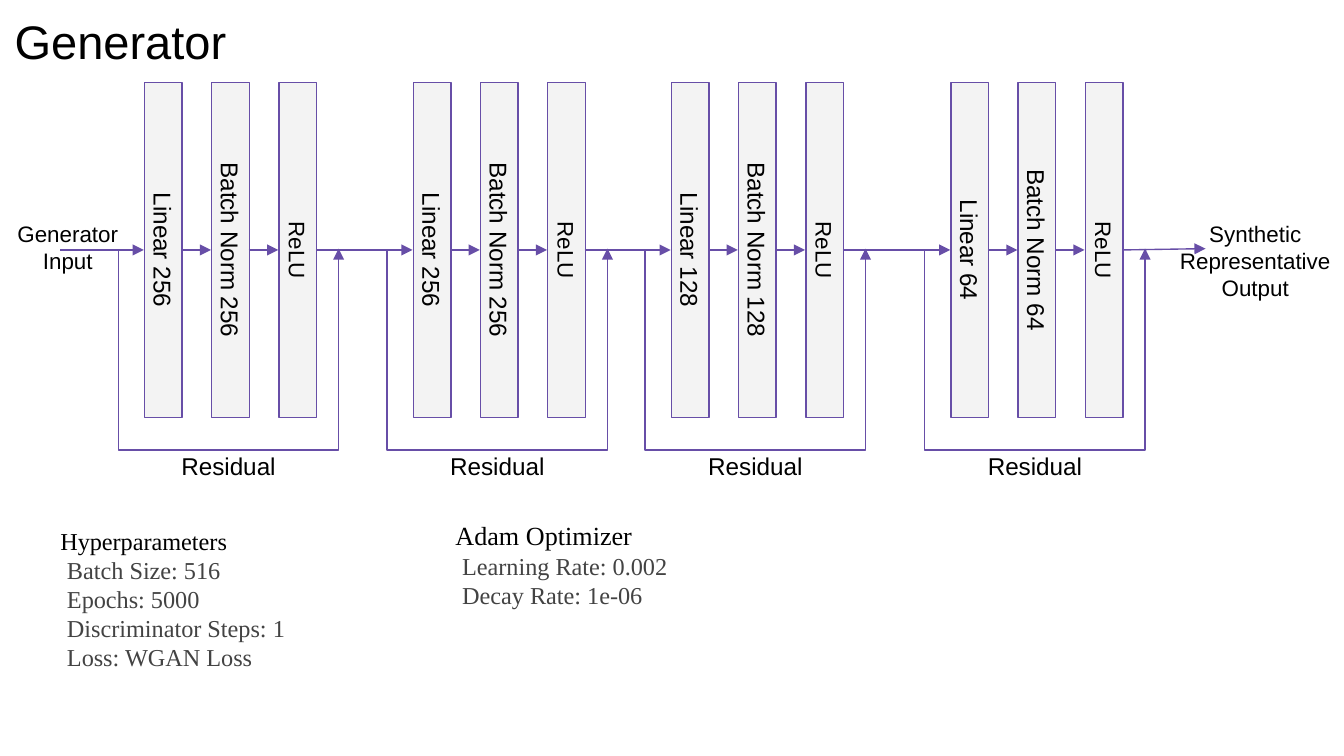
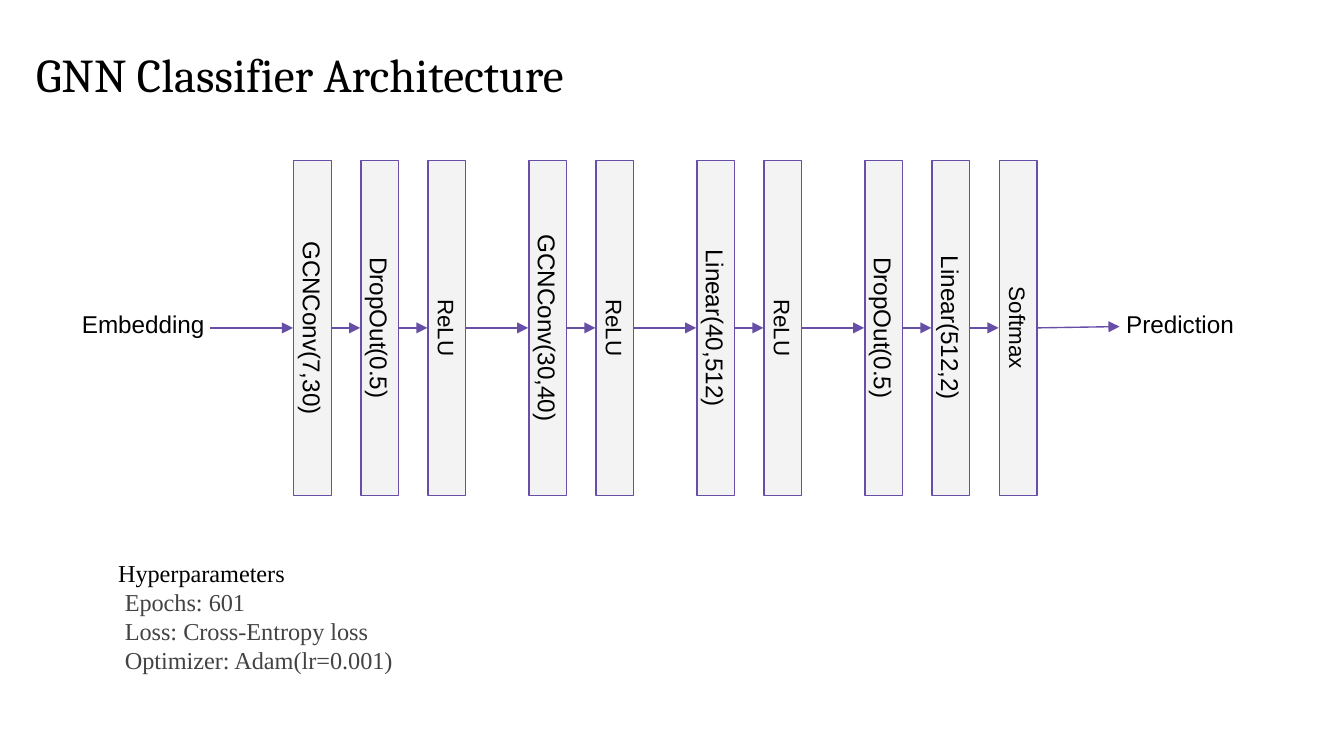
import lxml.etree
import pptx
import pptx.dml.color
import pptx.enum.shapes
import pptx.enum.text
import pptx.oxml.ns
import pptx.util

PX = 9144
PURPLE = pptx.dml.color.RGBColor(0x67, 0x4E, 0xA7)
PALE = pptx.dml.color.RGBColor(0xF3, 0xF3, 0xF3)
BLACK = pptx.dml.color.RGBColor(0x00, 0x00, 0x00)
GREY = pptx.dml.color.RGBColor(0x43, 0x43, 0x43)
CENTER = pptx.enum.text.PP_ALIGN.CENTER
LEFT = pptx.enum.text.PP_ALIGN.LEFT

BAR_W, BAR_H, PITCH, LEAD = 28, 249, 50, 62
SMALL_LABELS = ("ReLU", "Softmax")
MARGINS = dict.fromkeys(
    ("margin_left", "margin_top", "margin_right", "margin_bottom"), 10 * PX)
BOX_FORMAT = {**MARGINS, "word_wrap": True,
              "vertical_anchor": pptx.enum.text.MSO_ANCHOR.TOP}
BAR_FORMAT = {**MARGINS, "word_wrap": True,
              "vertical_anchor": pptx.enum.text.MSO_ANCHOR.MIDDLE}

GENERATOR_STACKS = [(107, 256), (307, 256), (499, 128), (707, 64)]
CLASSIFIER_STACKS = [
    ["GCNConv(7,30)", "DropOut(0.5)", "ReLU"],
    ["GCNConv(30,40)", "ReLU"],
    ["Linear(40,512)", "ReLU"],
    ["DropOut(0.5)", "Linear(512,2)", "Softmax"],
]


def px(*lengths):
    """Turn px lengths into EMU."""
    return [n * PX for n in lengths]


def apply(obj, values):
    """Set each attribute named in a dict of format values."""
    for name, value in values.items():
        setattr(obj, name, value)


def write(p, text, size, font="Arial", color=BLACK, **fmt):
    """Write one formatted run into a paragraph."""
    apply(p, fmt)
    r = p.add_run()
    r.text = text
    apply(r.font, {"name": font, "size": pptx.util.Pt(size)})
    r.font.color.rgb = color


def outline(line, arrow=False):
    """Style a line in purple, with an arrowhead if asked."""
    line.color.rgb = PURPLE
    line.width = pptx.util.Pt(0.75)
    if arrow:
        lxml.etree.SubElement(line._get_or_add_ln(),
                              pptx.oxml.ns.qn("a:tailEnd"), type="triangle")


def text_box(s, box, grow=True):
    """Add an empty wrapping text box and return its frame."""
    tf = s.shapes.add_textbox(*px(*box)).text_frame
    apply(tf, BOX_FORMAT)
    if grow:
        tf.auto_size = pptx.enum.text.MSO_AUTO_SIZE.SHAPE_TO_FIT_TEXT
    return tf


def title(s, box, text, font):
    """Add the slide title."""
    write(text_box(s, box, grow=False).paragraphs[0], text, 25.2, font, alignment=LEFT)


def label(s, box, lines, size):
    """Add a centred label with one paragraph per line."""
    tf = text_box(s, box)
    for i, text in enumerate(lines):
        p = tf.add_paragraph() if i else tf.paragraphs[0]
        write(p, text, size, alignment=CENTER)


def notes_block(s, box, heading, details, heading_size=13):
    """Add a heading with indented grey details below it."""
    tf = text_box(s, box)
    write(tf.paragraphs[0], heading, heading_size, "Times New Roman",
          alignment=LEFT, line_spacing=1.15)
    for text in details:
        p = tf.add_paragraph()
        write(p, text, 13, "Times New Roman", GREY, alignment=LEFT, line_spacing=1.0)
        p._p.get_or_add_pPr().set("marL", str(5 * PX))


def arrow(s, x1, x2, axis, rise=0):
    """Add an arrow along the axis."""
    c = s.shapes.add_connector(pptx.enum.shapes.MSO_CONNECTOR.STRAIGHT,
                               *px(x1, axis, x2, axis - rise))
    outline(c.line, arrow=True)
    lxml.etree.SubElement(c._element.spPr, pptx.oxml.ns.qn("a:effectLst"))


def bar(s, x, axis, text):
    """Add a layer bar, turned upright, with its left edge at x."""
    left = x + BAR_W // 2 - BAR_H // 2
    sp = s.shapes.add_shape(pptx.enum.shapes.MSO_SHAPE.RECTANGLE,
                            *px(left, axis - BAR_W // 2, BAR_H, BAR_W))
    sp.rotation = 90
    sp.shadow.inherit = False
    sp.fill.solid()
    sp.fill.fore_color.rgb = PALE
    outline(sp.line)
    apply(sp.text_frame, BAR_FORMAT)
    write(sp.text_frame.paragraphs[0], text, 12 if text in SMALL_LABELS else 13,
          alignment=CENTER)


def stack(s, x, axis, layers):
    """Add linked layer bars from x and return the right edge."""
    for i, text in enumerate(layers):
        left = x + i * PITCH
        bar(s, left, axis, text)
        if i:
            arrow(s, left - PITCH + BAR_W, left, axis)
    return left + BAR_W


def network(s, axis, stacks):
    """Add stacks given as (x, layers), with arrows in, between and out."""
    right = stacks[0][0] - LEAD
    for x, layers in stacks:
        arrow(s, right, x, axis)
        right = stack(s, x, axis, layers)
    arrow(s, right, right + LEAD, axis, rise=1)


def residual(s, x, axis):
    """Add the labelled skip path below the stack at x."""
    left, right, bottom = x - 19, x + 145, axis + 149
    fb = s.shapes.build_freeform(*px(left, axis), scale=1.0)
    fb.add_line_segments([px(left, bottom), px(right, bottom), px(right, axis - 1)],
                         close=False)
    sp = fb.convert_to_shape()
    sp.shadow.inherit = False
    sp.fill.background()
    outline(sp.line, arrow=True)
    label(s, (x - 14, axis + 140, 154, 42), ["Residual"], 13)


def generator_slide(s):
    """Build the generator slide."""
    axis = 186
    title(s, (1, -1, 932, 63), "Generator", "Arial")
    network(s, axis, [(x, [f"Linear {n}", f"Batch Norm {n}", "ReLU"])
                      for x, n in GENERATOR_STACKS])
    for x, _ in GENERATOR_STACKS:
        residual(s, x, axis)
    label(s, (-11, axis - 32, 123, 61), ["Generator Input"], 12)
    label(s, (857, axis - 32, 154, 81), ["Synthetic Representative", "Output"], 12)
    notes_block(s, (35, 378, 301, 133), "Hyperparameters",
                ["Batch Size: 516", "Epochs: 5000", "Discriminator Steps: 1",
                 "Loss: WGAN Loss"])
    notes_block(s, (329, 373, 301, 115), "Adam Optimizer",
                ["Learning Rate: 0.002", "Decay Rate: 1e-06"], heading_size=14)


def classifier_slide(s):
    """Build the classifier slide."""
    axis, x, stacks = 244, 218, []
    for layers in CLASSIFIER_STACKS:
        stacks.append((x, layers))
        x += (len(layers) - 1) * PITCH + 75
    title(s, (17, 24, 932, 63), "GNN Classifier Architecture", "Cambria")
    network(s, axis, stacks)
    label(s, (45, axis - 24, 123, 42), ["Embedding"], 13)
    label(s, (801, axis - 24, 154, 42), ["Prediction"], 13)
    notes_block(s, (78, 402, 249, 111), "Hyperparameters",
                ["Epochs: 601", "Loss: Cross-Entropy loss", "Optimizer: Adam(lr=0.001)"])


def main():
    """Build and save the deck."""
    prs = pptx.Presentation()
    prs.slide_width = 1000 * PX
    prs.slide_height = prs.slide_width * 9 // 16
    for build in (generator_slide, classifier_slide):
        build(prs.slides.add_slide(prs.slide_layouts[6]))
    prs.save("out.pptx")


if __name__ == "__main__":
    main()
